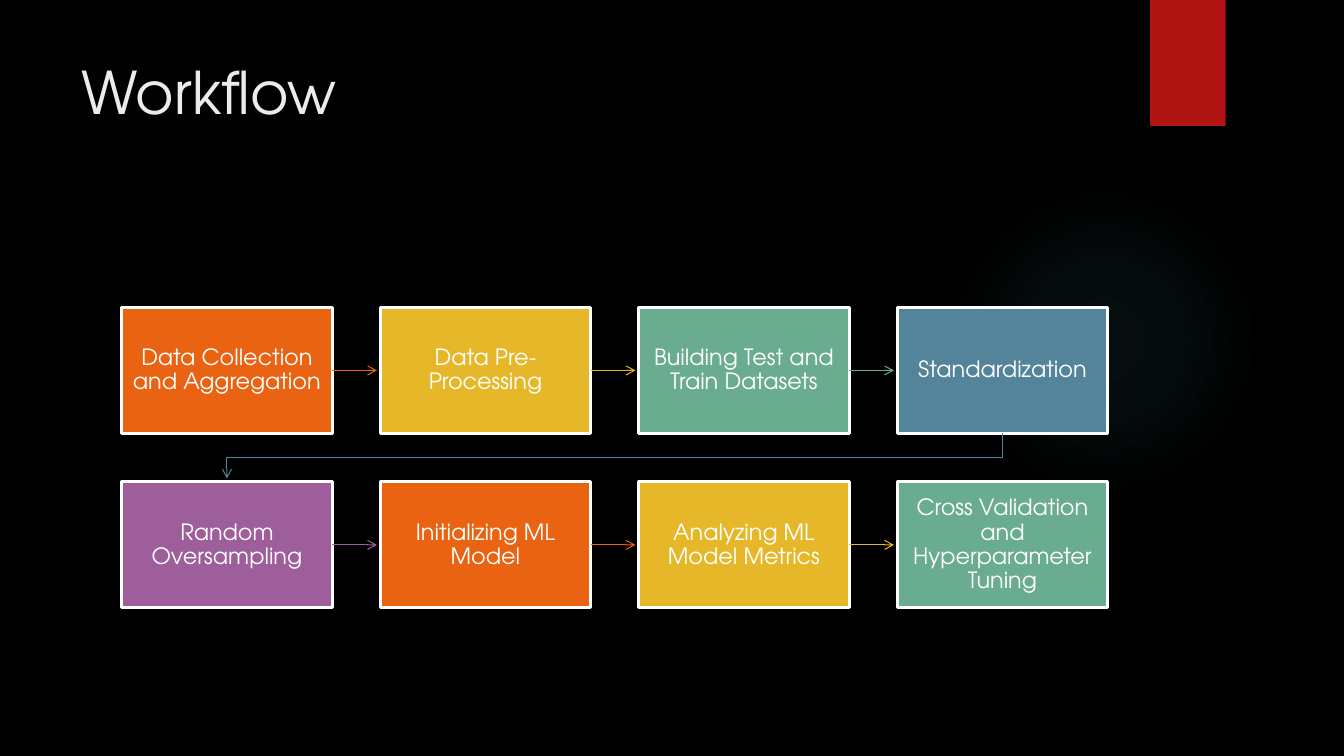
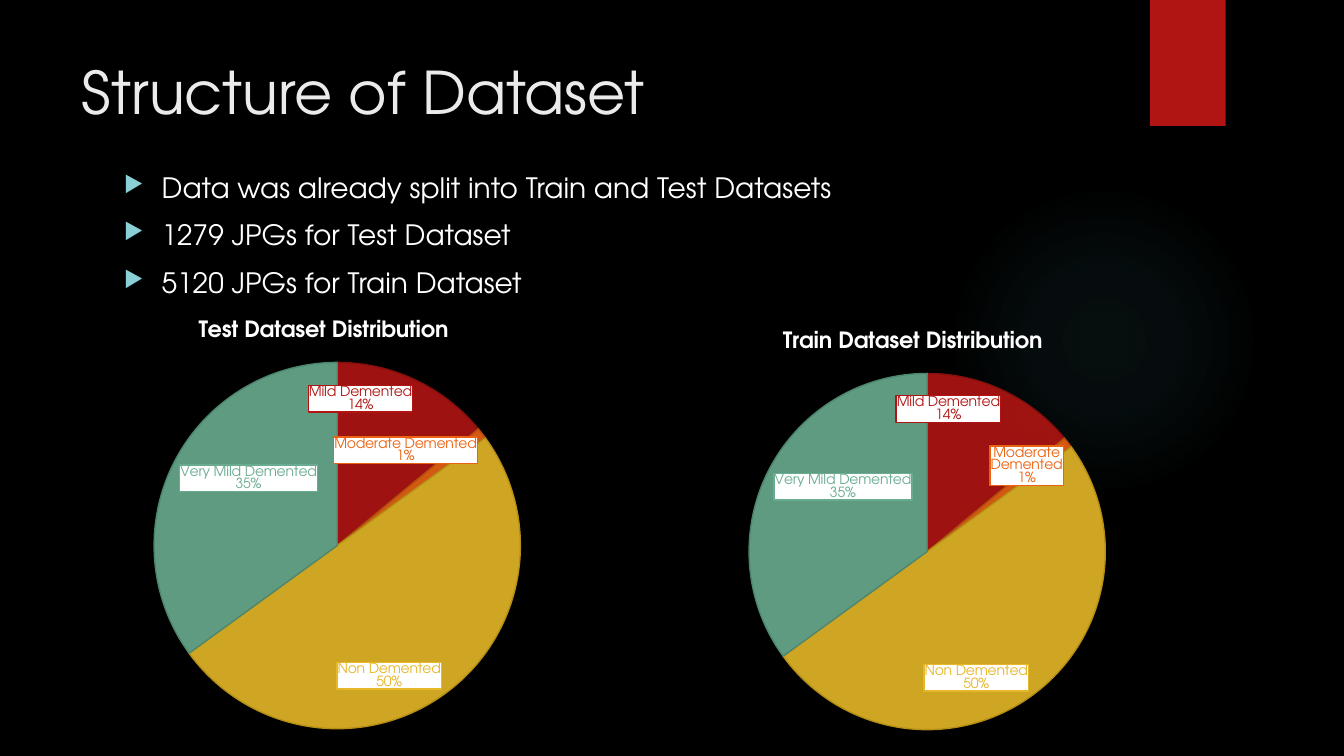
from lxml import etree
from pptx import Presentation
from pptx.chart.data import CategoryChartData
from pptx.dml.color import RGBColor
from pptx.enum.chart import XL_CHART_TYPE as ChartType
from pptx.enum.shapes import MSO_CONNECTOR as Connector, MSO_SHAPE as Shape
from pptx.enum.text import MSO_ANCHOR as Anchor, PP_ALIGN as Align
from pptx.oxml import parse_xml
from pptx.oxml.ns import nsdecls, qn
from pptx.util import Pt

FONT = "TeX Gyre Adventor"
COLORS = {
    "black": "000000", "white": "FFFFFF", "title": "EBEBEB", "glow": "50B9C1",
    "bullet": "8AD0D6", "red": "B01513", "orange": "EA6312", "yellow": "E6B729",
    "green": "6AAC90", "blue": "54849A", "purple": "9E5E9B",
}

# Content
STEPS = [
    ("Data Collection and Aggregation", "orange"),
    ("Data Pre-Processing", "yellow"),
    ("Building Test and Train Datasets", "green"),
    ("Standardization", "blue"),
    ("Random Oversampling", "purple"),
    ("Initializing ML Model", "orange"),
    ("Analyzing ML Model Metrics", "yellow"),
    ("Cross Validation and Hyperparameter Tuning", "green"),
]
BULLETS = [
    "Data was already split into Train and Test Datasets",
    "1279 JPGs for Test Dataset",
    "5120 JPGs for Train Dataset",
]
CLASSES = [
    ("Mild Demented", 14, "red"),
    ("Moderate Demented", 1, "orange"),
    ("Non Demented", 50, "yellow"),
    ("Very Mild Demented", 35, "green"),
]
# Title, title width, chart frame (left, top, width, height)
CHARTS = [
    ("Test Dataset Distribution", 204, (13, 212.4, 455.8, 318.2)),
    ("Train Dataset Distribution", 212, (406, 220.3, 512.6, 311)),
]

# Step grid and pie margins
COLUMNS, GRID_LEFT, GRID_TOP = 4, 87, 219.6
BOX_WIDTH, BOX_HEIGHT, STEP_X, STEP_Y = 150.3, 90, 184.65, 124.6
ARROW_GAP = 2.4
TITLE_TOP, PIE_TOP, PIE_BOTTOM = 12, 46.5, 10


def rgb(name):
    return RGBColor.from_string(COLORS[name])


def points(*lengths):
    return [Pt(length) for length in lengths]


def style_font(font, size, color, bold=False):
    for key, value in {"name": FONT, "size": Pt(size), "bold": bold}.items():
        setattr(font, key, value)
    font.color.rgb = rgb(color)


def set_insets(frame, horizontal, vertical):
    for side in ("left", "right"):
        setattr(frame, f"margin_{side}", Pt(horizontal))
    for side in ("top", "bottom"):
        setattr(frame, f"margin_{side}", Pt(vertical))


def add_shape(slide, kind, box, fill=None):
    shape = slide.shapes.add_shape(kind, *points(*box))
    shape.shadow.inherit = False
    shape.line.fill.background()
    if fill:
        shape.fill.solid()
        shape.fill.fore_color.rgb = rgb(fill)
    return shape


def add_text(slide, box, lines, size, color):
    frame = slide.shapes.add_textbox(*points(*box)).text_frame
    frame.word_wrap = True
    for index, line in enumerate(lines):
        paragraph = frame.paragraphs[0] if index == 0 else frame.add_paragraph()
        run = paragraph.add_run()
        run.text = line
        style_font(run.font, size, color)
    return frame


def add_glow(slide):
    glow = add_shape(slide, Shape.OVAL, (677.5, 131.8, 221.8, 221.8))
    stops = "".join(
        f'<a:gs pos="{place * 1000}"><a:srgbClr val="{COLORS["glow"]}">'
        f'<a:alpha val="{alpha * 1000}"/></a:srgbClr></a:gs>'
        for place, alpha in ((0, 7), (36, 6), (69, 0), (100, 0)))
    gradient = parse_xml(
        f'<a:gradFill {nsdecls("a")}><a:gsLst>{stops}</a:gsLst><a:path path="circle">'
        '<a:fillToRect l="50000" t="50000" r="50000" b="50000"/></a:path></a:gradFill>')
    glow._element.spPr.find(qn("a:prstGeom")).addnext(gradient)


def add_base_slide(presentation, title):
    slide = presentation.slides.add_slide(presentation.slide_layouts[6])
    slide.background.fill.solid()
    slide.background.fill.fore_color.rgb = rgb("black")
    add_glow(slide)
    add_shape(slide, Shape.RECTANGLE, (821.5, 0, 54, 90), "red")
    add_text(slide, (51, 36, 741, 110), [title], 42, "title")
    return slide


def style_arrow(shape, color):
    shape.line.color.rgb = rgb(color)
    shape.line.width = Pt(0.75)
    etree.SubElement(shape.line._get_or_add_ln(), qn("a:tailEnd"), type="arrow")


def add_step(slide, box, text, color):
    shape = add_shape(slide, Shape.RECTANGLE, box, color)
    shape.line.color.rgb = rgb("white")
    shape.line.width = Pt(2.25)
    etree.SubElement(shape.line._get_or_add_ln(), qn("a:round"))
    frame = shape.text_frame
    frame.word_wrap = True
    frame.vertical_anchor = Anchor.MIDDLE
    set_insets(frame, 7, 7.7)
    paragraph = frame.paragraphs[0]
    paragraph.text = text
    paragraph.alignment = Align.CENTER
    paragraph.line_spacing = 0.9
    style_font(paragraph.runs[0].font, 16, "white")
    return shape


def add_straight_arrow(slide, step, left, top, color):
    middle = top + BOX_HEIGHT / 2
    arrow = slide.shapes.add_connector(Connector.STRAIGHT, *points(
        left + BOX_WIDTH, middle, left + STEP_X - ARROW_GAP, middle))
    arrow.begin_connect(step, 3)
    etree.SubElement(arrow._element.spPr, qn("a:effectLst"))
    style_arrow(arrow, color)
    # The line must precede the effect list
    properties = arrow._element.spPr
    properties.append(properties.find(qn("a:effectLst")))


def add_row_arrow(slide, left, top, color):
    start_x, end_x = left + BOX_WIDTH / 2, GRID_LEFT + BOX_WIDTH / 2
    start_y, end_y = top + BOX_HEIGHT, top + STEP_Y - ARROW_GAP
    middle = (top + BOX_HEIGHT + top + STEP_Y) / 2
    builder = slide.shapes.build_freeform(*points(start_x, start_y))
    corners = [(start_x, middle), (end_x, middle), (end_x, end_y)]
    builder.add_line_segments([points(*corner) for corner in corners], close=False)
    arrow = builder.convert_to_shape()
    arrow.fill.background()
    arrow.shadow.inherit = False
    style_arrow(arrow, color)


def add_workflow(slide):
    for index, (text, color) in enumerate(STEPS):
        row, column = divmod(index, COLUMNS)
        left, top = GRID_LEFT + column * STEP_X, GRID_TOP + row * STEP_Y
        step = add_step(slide, (left, top, BOX_WIDTH, BOX_HEIGHT), text, color)
        if column < COLUMNS - 1:
            add_straight_arrow(slide, step, left, top, color)
        elif index < len(STEPS) - 1:
            add_row_arrow(slide, left, top, color)


def add_bullets(slide):
    frame = add_text(slide, (81.4, 118, 704, 330), BULLETS, 20, "white")
    for paragraph in frame.paragraphs:
        paragraph.space_before = Pt(10)
        properties = paragraph._p.get_or_add_pPr()
        properties.set("marL", str(Pt(27)))
        properties.set("indent", str(-Pt(27)))
        color = etree.SubElement(properties, qn("a:buClr"))
        etree.SubElement(color, qn("a:srgbClr"), val=COLORS["bullet"])
        etree.SubElement(properties, qn("a:buSzPct"), val="80000")
        etree.SubElement(properties, qn("a:buChar"), char="▶")


def layout_xml(**values):
    target = '<c:layoutTarget val="inner"/>' if "w" in values else ""
    modes = '<c:xMode val="edge"/><c:yMode val="edge"/>'
    sizes = "".join(f'<c:{key} val="{value:.4f}"/>' for key, value in values.items())
    return parse_xml(f'<c:layout {nsdecls("c")}><c:manualLayout>{target}{modes}{sizes}'
                     '</c:manualLayout></c:layout>')


def label_xml(index, color):
    fill = '<a:solidFill><a:srgbClr val="{}"/></a:solidFill>'
    ink, paper = fill.format(COLORS[color]), fill.format(COLORS["white"])
    flags = {"LegendKey": 0, "Val": 0, "CatName": 1, "SerName": 0, "Percent": 1, "BubbleSize": 0}
    shows = "".join(f'<c:show{name} val="{on}"/>' for name, on in flags.items())
    return parse_xml(
        f'<c:dLbl {nsdecls("c", "a")}><c:idx val="{index}"/>'
        f'<c:spPr>{paper}<a:ln w="{Pt(1)}">{ink}</a:ln></c:spPr>'
        f'<c:txPr><a:bodyPr/><a:p><a:pPr><a:defRPr sz="1000" b="0">{ink}'
        f'<a:latin typeface="{FONT}"/></a:defRPr></a:pPr></a:p></c:txPr>'
        f'<c:dLblPos val="inEnd"/>{shows}<c:separator>\n</c:separator></c:dLbl>')


def add_pie(slide, title, title_width, box):
    data = CategoryChartData()
    data.categories = [name for name, _, _ in CLASSES]
    data.add_series("Series 1", [share for _, share, _ in CLASSES])
    chart = slide.shapes.add_chart(ChartType.PIE, *points(*box), data).chart
    style_font(chart.font, 10, "white")
    chart.has_legend = False
    chart.has_title = True
    paragraph = chart.chart_title.text_frame.paragraphs[0]
    paragraph.text = title
    style_font(paragraph.runs[0].font, 16, "white", bold=True)

    # Title and pie are centred in the frame
    _, _, width, height = box
    diameter = height - PIE_TOP - PIE_BOTTOM
    title_element = chart.chart_title._element
    for old in title_element.findall(qn("c:layout")):
        title_element.remove(old)
    title_element.find(qn("c:tx")).addnext(
        layout_xml(x=(width - title_width) / 2 / width, y=TITLE_TOP / height))
    plot_area = chart._chartSpace.chart.plotArea
    for old in plot_area.findall(qn("c:layout")):
        plot_area.remove(old)
    plot_area.insert(0, layout_xml(x=(width - diameter) / 2 / width, y=PIE_TOP / height,
                                   w=diameter / width, h=diameter / height))

    # Slices and their labels
    plot = chart.plots[0]
    plot.vary_by_categories = True
    series = plot.series[0]
    labels = series.data_labels
    labels.show_percentage = labels.show_category_name = True
    labels.show_value = False
    for index, (_, _, color) in enumerate(CLASSES):
        labels._element.insert(index, label_xml(index, color))
        slice_format = series.points[index].format
        slice_format.fill.solid()
        slice_format.fill.fore_color.rgb = rgb(color)
        for color_element in slice_format.fill._xPr.iter(qn("a:srgbClr")):
            etree.SubElement(color_element, qn("a:alpha"), val="90000")
        slice_format.line.color.rgb = rgb(color)
        slice_format.line.color.brightness = -0.25
        slice_format.line.width = Pt(1)


def main():
    presentation = Presentation()
    presentation.slide_width, presentation.slide_height = points(960, 540)
    add_workflow(add_base_slide(presentation, "Workflow"))
    dataset_slide = add_base_slide(presentation, "Structure of Dataset")
    add_bullets(dataset_slide)
    for chart in CHARTS:
        add_pie(dataset_slide, *chart)
    presentation.save("out.pptx")


if __name__ == "__main__":
    main()
